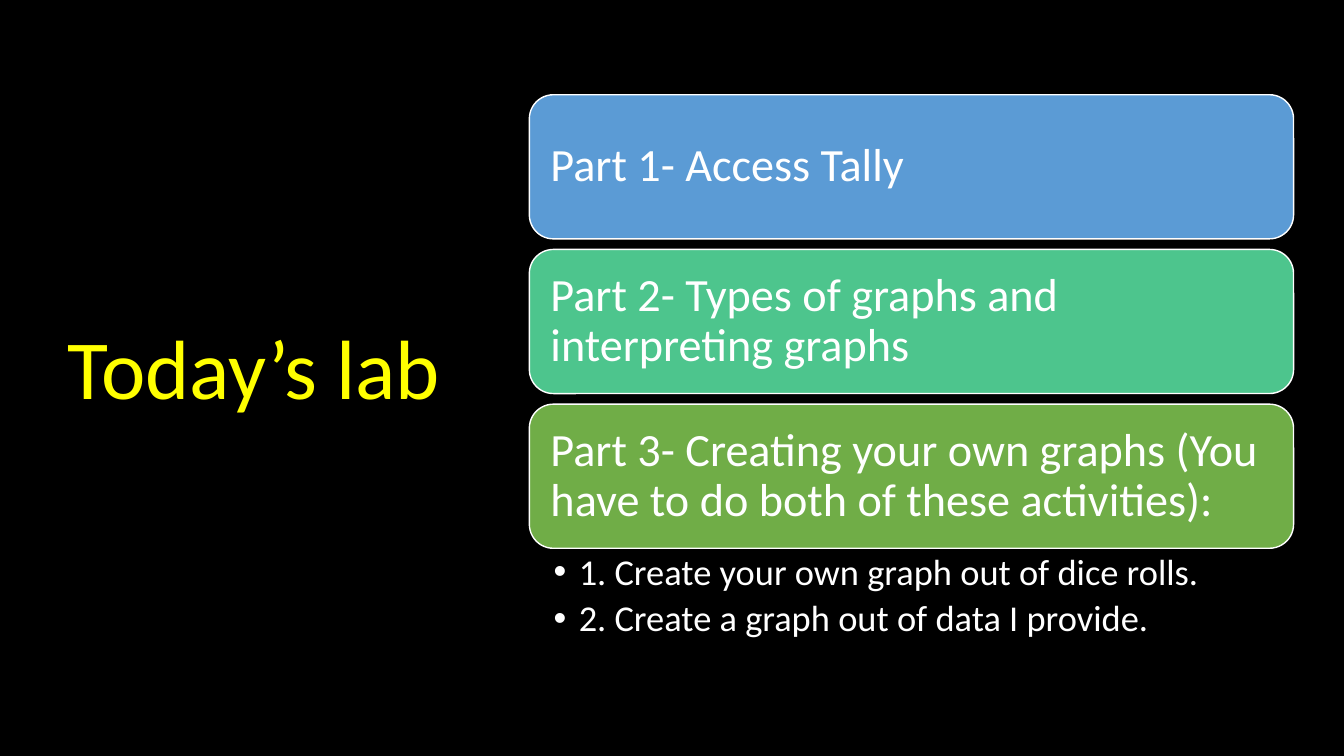
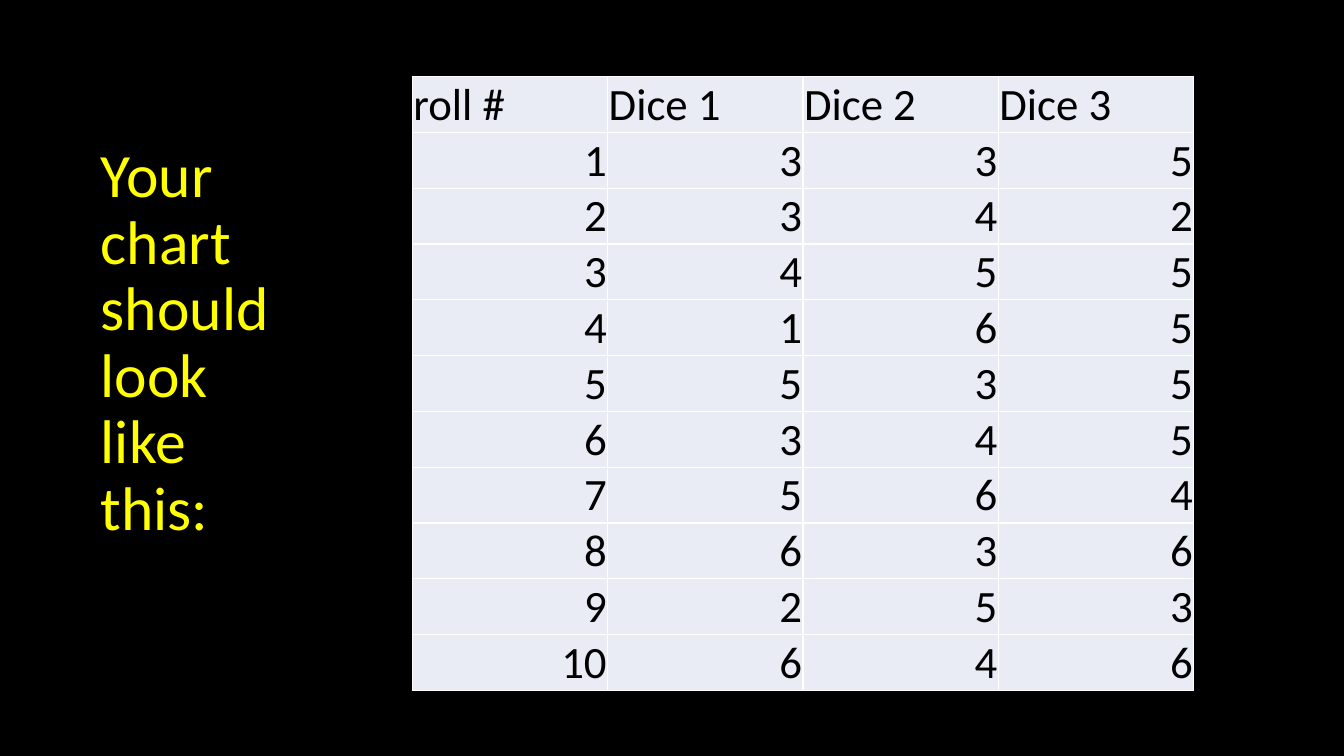
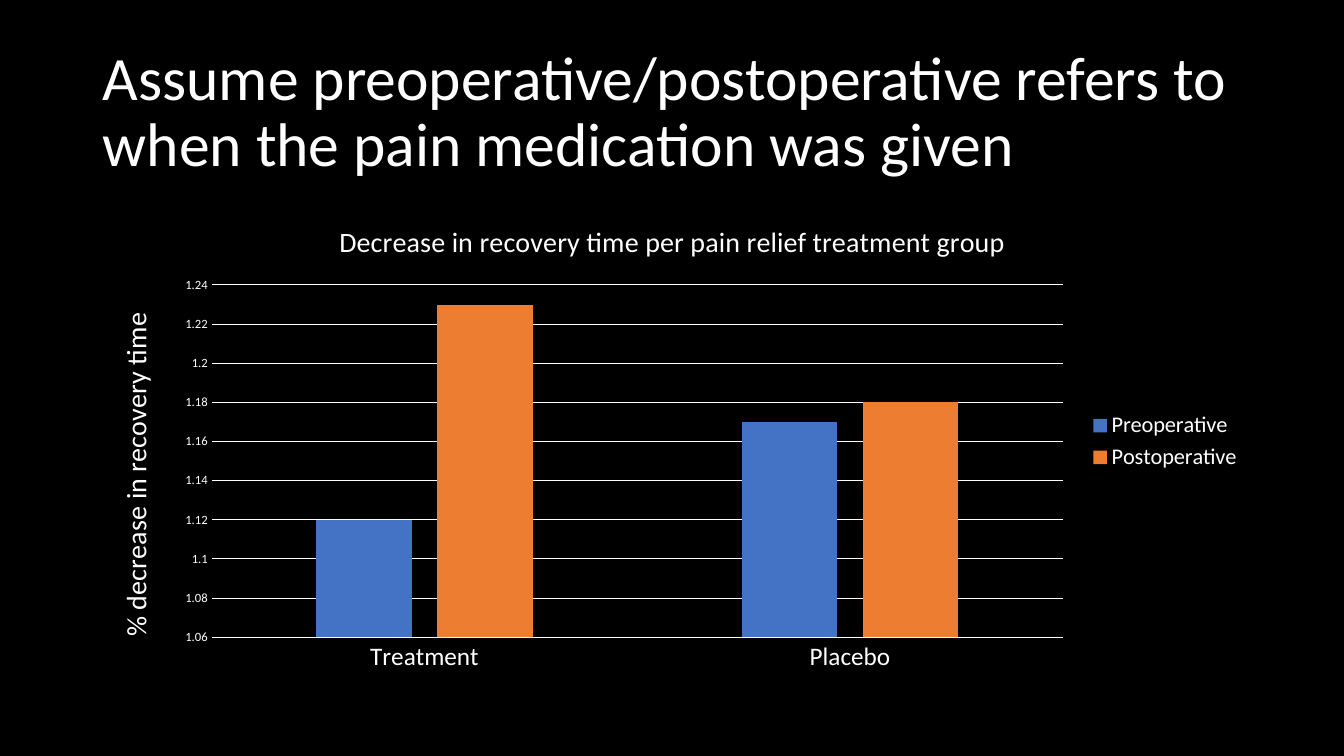
from lxml.etree import SubElement
from pptx import Presentation
from pptx.chart.data import CategoryChartData
from pptx.dml.color import RGBColor
from pptx.enum.chart import XL_CHART_TYPE as ChartType, XL_LEGEND_POSITION as LegendPosition, XL_TICK_MARK as TickMark
from pptx.enum.shapes import MSO_SHAPE as Shape
from pptx.enum.text import MSO_ANCHOR as Anchor, MSO_AUTO_SIZE as AutoSize, PP_ALIGN as Align
from pptx.oxml.ns import qn
from pptx.util import Inches, Pt

BLACK = RGBColor(0x00, 0x00, 0x00)
WHITE = RGBColor(0xFF, 0xFF, 0xFF)
YELLOW = RGBColor(0xFF, 0xFF, 0x00)
SKY = RGBColor(0x5B, 0x9B, 0xD5)
MINT = RGBColor(0x4D, 0xC5, 0x8D)
GREEN = RGBColor(0x70, 0xAD, 0x47)
PALE = RGBColor(0xE9, 0xEB, 0xF5)
BLUE = RGBColor(0x44, 0x72, 0xC4)
ORANGE = RGBColor(0xED, 0x7D, 0x31)
FONT = "Calibri"
TITLE_AND_BODY, TITLE_ONLY = 1, 5

prs = Presentation()
prs.slide_width, prs.slide_height = Inches(13.33), Inches(7.5)
backdrop = prs.slide_master.background.fill
backdrop.solid()
backdrop.fore_color.rgb = BLACK


def style_font(font, size, color):
    font.name, font.size, font.bold = FONT, Pt(size), False
    font.color.rgb = color


def add_titled_slide(layout, text, box, size, color):
    slide = prs.slides.add_slide(prs.slide_layouts[layout])
    title = slide.shapes.title
    title.left, title.top, title.width, title.height = map(Inches, box)
    frame = title.text_frame
    frame.text = text
    frame.auto_size, frame.vertical_anchor = AutoSize.NONE, Anchor.MIDDLE
    heading = frame.paragraphs[0]
    heading.alignment, heading.line_spacing = Align.LEFT, 0.9
    style_font(heading.font, size, color)
    return slide


# Lab outline
outline = add_titled_slide(TITLE_AND_BODY, "Today’s lab", (0.57, 0.68, 4.16, 6.02), 60, YELLOW)
PARTS = [
    ("Part 1- Access Tally", SKY),
    ("Part 2- Types of graphs and interpreting graphs", MINT),
    ("Part 3- Creating your own graphs (You have to do both of these activities):", GREEN),
]
PART_LEFT, PART_TOP, PART_WIDTH, PART_HEIGHT, PART_PITCH = 5.25, 0.94, 7.58, 1.43, 1.535
for row, (text, color) in enumerate(PARTS):
    part = outline.shapes.add_shape(
        Shape.ROUNDED_RECTANGLE, Inches(PART_LEFT), Inches(PART_TOP + row * PART_PITCH),
        Inches(PART_WIDTH), Inches(PART_HEIGHT))
    part.shadow.inherit = False
    part.fill.solid()
    part.fill.fore_color.rgb = color
    part.line.color.rgb, part.line.width = WHITE, Pt(1)
    frame = part.text_frame
    frame.text = text
    frame.margin_left = frame.margin_right = Inches(0.14)
    frame.vertical_anchor = Anchor.MIDDLE
    label = frame.paragraphs[0]
    label.alignment, label.line_spacing = Align.LEFT, 0.9
    style_font(label.font, 33, WHITE)

activities = outline.placeholders[1]
activities.left, activities.top = Inches(PART_LEFT), Inches(PART_TOP + len(PARTS) * PART_PITCH - 0.1)
activities.width, activities.height = Inches(PART_WIDTH), Inches(0.99)
frame = activities.text_frame
frame.text = "1. Create your own graph out of dice rolls.\n2. Create a graph out of data I provide."
frame.auto_size = AutoSize.NONE
frame.margin_left, frame.margin_right = Inches(0.24), Inches(0.26)
for activity in frame.paragraphs:
    activity.line_spacing, activity.space_before, activity.space_after = 0.9, Pt(0), Pt(5.2)
    style_font(activity.font, 26, WHITE)
    indents = activity._p.get_or_add_pPr()
    indents.set("marL", str(Inches(0.25)))
    indents.set("indent", str(-Inches(0.25)))

# Dice rolls
dice = add_titled_slide(TITLE_ONLY, "Your chart should look like this:", (0.9, 0.94, 2.05, 4.95), 44, YELLOW)
HEADERS = ["roll #", "Dice 1", "Dice 2", "Dice 3"]
ROLLS = [(3, 3, 5), (3, 4, 2), (4, 5, 5), (1, 6, 5), (5, 3, 5),
         (3, 4, 5), (5, 6, 4), (6, 3, 6), (2, 5, 3), (6, 4, 6)]
rows = [HEADERS] + [(number, *roll) for number, roll in enumerate(ROLLS, 1)]
rolls = dice.shapes.add_table(
    len(rows), len(HEADERS), Inches(4.09), Inches(0.76),
    Inches(7.75), Inches(0.55 * len(rows))).table
rolls.first_row = rolls.horz_banding = False
for r, values in enumerate(rows):
    for c, value in enumerate(values):
        cell = rolls.cell(r, c)
        cell.text = str(value)
        cell.margin_left = cell.margin_right = cell.margin_top = Inches(0.01)
        cell.margin_bottom = 0
        cell.vertical_anchor = Anchor.BOTTOM
        entry = cell.text_frame.paragraphs[0]
        entry.alignment = Align.RIGHT if r else Align.LEFT
        style_font(entry.font, 32, BLACK)
        properties = cell._tc.get_or_add_tcPr()
        for side in ("a:lnL", "a:lnR", "a:lnT", "a:lnB"):
            border = SubElement(properties, qn(side), w=str(Pt(1)))
            SubElement(SubElement(border, qn("a:solidFill")), qn("a:srgbClr"), val=str(WHITE))
        cell.fill.solid()
        cell.fill.fore_color.rgb = PALE

# Recovery time
recovery = add_titled_slide(
    TITLE_ONLY, "Assume preoperative/postoperative refers to when the pain medication was given",
    (0.92, 0.4, 11.5, 1.45), 44, WHITE)
SERIES = [("Preoperative", (1.12, 1.17), BLUE), ("Postoperative", (1.23, 1.18), ORANGE)]
data = CategoryChartData()
data.categories = ["Treatment", "Placebo"]
for name, values, _ in SERIES:
    data.add_series(name, values)
chart = recovery.shapes.add_chart(
    ChartType.COLUMN_CLUSTERED, Inches(0.92), Inches(2), Inches(11.5), Inches(4.76), data).chart
style_font(chart.font, 10, WHITE)
groups, decrease = chart.category_axis, chart.value_axis
for titled, text in ((chart, "Decrease in recovery time per pain relief treatment group"),
                     (decrease, "% decrease in recovery time")):
    caption = (titled.chart_title if titled is chart else titled.axis_title).text_frame
    caption.text = text
    style_font(caption.paragraphs[0].font, 20, WHITE)

columns = chart.plots[0]
columns.gap_width, columns.overlap, columns.vary_by_categories = 219, -27, False
for series, (_, _, color) in zip(columns.series, SERIES):
    series.format.fill.solid()
    series.format.fill.fore_color.rgb = color

for axis, size in ((groups, 18), (decrease, 9)):
    axis.major_tick_mark = axis.minor_tick_mark = TickMark.NONE
    style_font(axis.tick_labels.font, size, WHITE)
decrease.minimum_scale, decrease.maximum_scale, decrease.major_unit = 1.06, 1.24, 0.02
decrease.format.line.fill.background()
for line in (groups.format.line, decrease.major_gridlines.format.line):
    line.color.rgb, line.width = WHITE, Pt(0.75)

chart.has_legend = True
chart.legend.position, chart.legend.include_in_layout = LegendPosition.RIGHT, False
style_font(chart.legend.font, 16, WHITE)

prs.save("out.pptx")
